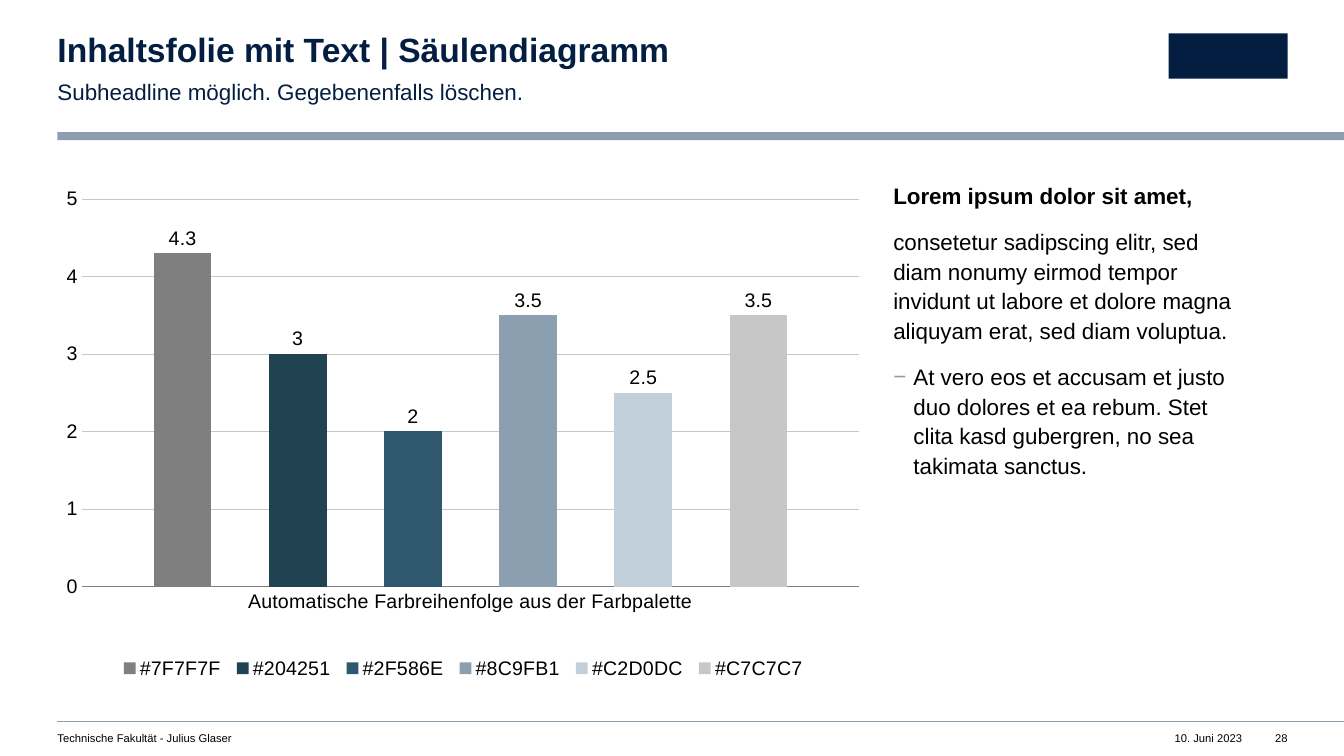
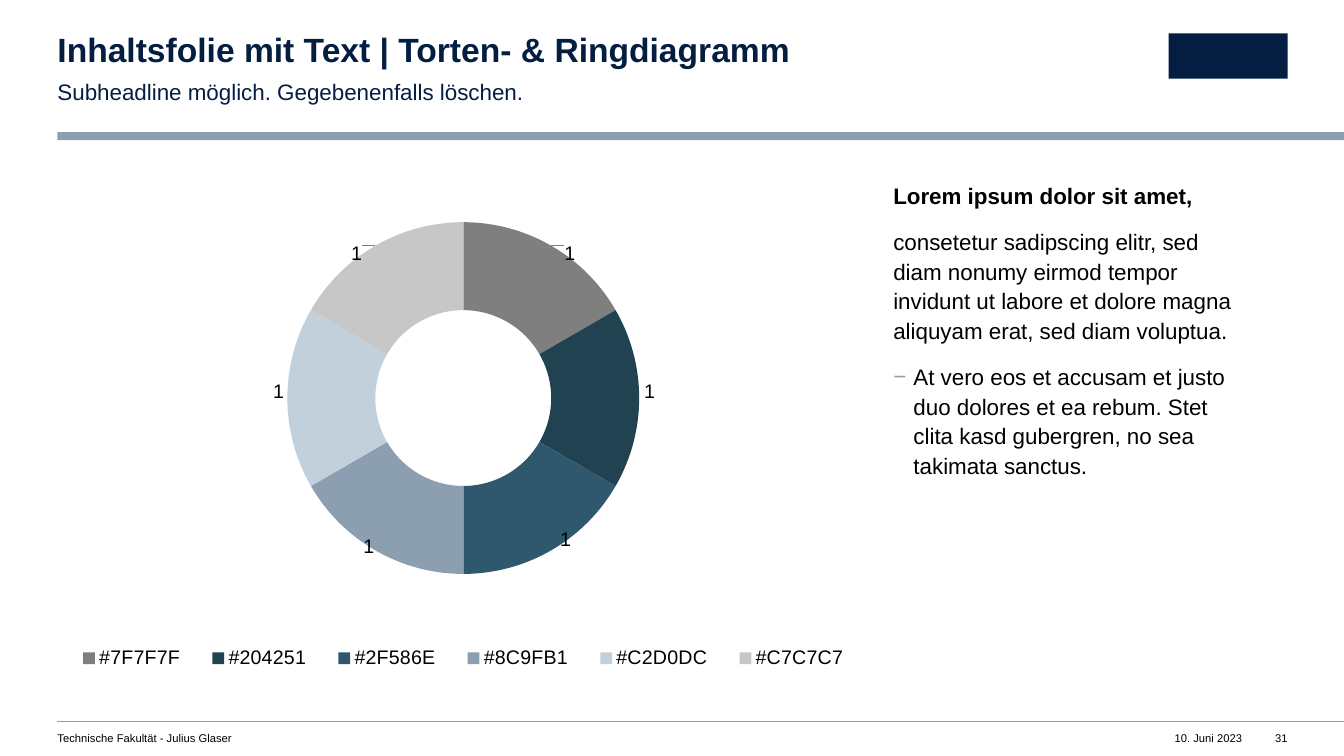
import pptx
import pptx.chart.data
import pptx.dml.color
import pptx.enum.chart
import pptx.enum.shapes
import pptx.enum.text
import pptx.oxml
import pptx.oxml.ns
import pptx.util
from pptx.util import Inches

COLORS = {
    "navy": "041E42",
    "steel": "8C9FB1",
    "text": "000000",
    "axis": "7F7F7F",
    "grid": "C7C7C7",
}
PALETTE = ["7F7F7F", "204251", "2F586E", "8C9FB1", "C2D0DC", "C7C7C7"]
LABELS = [f"#{color}" for color in PALETTE]
FONT = "Arial"
LEFT, RIGHT, SLIDE_WIDTH = 0.57, 12.77, 13.33
CONTENT_TOP, CONTENT_HEIGHT = 1.78, 5


def add_text(page, at, *lines, size=16, color="text", bold=False, align="LEFT",
             spacing=1.0, after=0, inset_right=0):
    """Add a text box; each line is a string or a dict with text, bold and bullet."""
    box = page.shapes.add_textbox(*map(Inches, at))
    frame = box.text_frame
    frame.word_wrap = True
    frame.margin_left = frame.margin_top = frame.margin_bottom = 0
    frame.margin_right = Inches(inset_right)
    for index, line in enumerate(lines):
        if isinstance(line, str):
            line = {"text": line}
        para = frame.add_paragraph() if index else frame.paragraphs[0]
        para.alignment = getattr(pptx.enum.text.PP_ALIGN, align)
        para.line_spacing = spacing
        para.space_after = pptx.util.Pt(after)
        span = para.add_run()
        span.text = line["text"]
        span.font.name = FONT
        span.font.size = pptx.util.Pt(size)
        span.font.bold = line.get("bold", bold)
        span.font.color.rgb = pptx.dml.color.RGBColor.from_string(COLORS[color])
        if "bullet" in line:
            properties = para._p.get_or_add_pPr()
            properties.set("marL", str(Inches(0.2)))
            properties.set("indent", str(Inches(-0.2)))
            namespace = pptx.oxml.ns.nsdecls("a")
            for markup in (
                f'<a:buClr {namespace}><a:srgbClr val="{COLORS["steel"]}"/></a:buClr>',
                f'<a:buFont {namespace} typeface="{FONT}"/>',
                f'<a:buChar {namespace} char="{line["bullet"]}"/>',
            ):
                properties.append(pptx.oxml.parse_xml(markup))


def set_layout(parent, index, **values):
    """Give a chart part a manual layout, in fractions of the chart, as child number index."""
    for old in parent.xpath("./c:layout"):
        parent.remove(old)
    items = "".join(f'<c:{name} val="{value}"/>' for name, value in values.items())
    parent.insert(index, pptx.oxml.parse_xml(
        f'<c:layout {pptx.oxml.ns.nsdecls("c")}><c:manualLayout>{items}'
        "</c:manualLayout></c:layout>"))


deck = pptx.Presentation()
deck.slide_width, deck.slide_height = Inches(SLIDE_WIDTH), Inches(7.5)

column_data = pptx.chart.data.CategoryChartData()
column_data.categories = ["Automatische Farbreihenfolge aus der Farbpalette"]
for label, value in zip(LABELS, [4.3, 3, 2, 3.5, 2.5, 3.5]):
    column_data.add_series(label, [value])

ring_data = pptx.chart.data.CategoryChartData()
ring_data.categories = LABELS
ring_data.add_series("Series 1", [1] * len(LABELS))

chart_types = pptx.enum.chart.XL_CHART_TYPE
slides = [
    ("Säulendiagramm", "28", chart_types.COLUMN_CLUSTERED, column_data,
     {"x": 0.03, "y": 0.039, "w": 0.958, "h": 0.769},
     {"x": 0.07, "y": 0.94, "w": 0.86, "h": 0.06}),
    ("Torten- & Ringdiagramm", "31", chart_types.DOUGHNUT, ring_data,
     {"x": 0.208, "y": 0.085, "w": 0.584, "h": 0.698},
     {"x": 0, "y": 0.91, "w": 1, "h": 0.08}),
]
charts = []

# Frame, text and chart of each slide
for topic, number, chart_type, data, plot_area, legend_area in slides:
    page = deck.slides.add_slide(deck.slide_layouts[6])
    for color, at in [
        ("steel", (LEFT, 1.31, SLIDE_WIDTH - LEFT, 0.08)),
        ("navy", (11.59, 0.33, 1.18, 0.45)),
    ]:
        bar = page.shapes.add_shape(
            pptx.enum.shapes.MSO_SHAPE.RECTANGLE, *map(Inches, at))
        bar.shadow.inherit = False
        bar.fill.solid()
        bar.fill.fore_color.rgb = pptx.dml.color.RGBColor.from_string(COLORS[color])
        bar.line.fill.background()

    footer_rule = page.shapes.add_connector(
        pptx.enum.shapes.MSO_CONNECTOR.STRAIGHT,
        *map(Inches, (LEFT, 7.16, SLIDE_WIDTH, 7.16)))
    footer_rule.line.width = pptx.util.Pt(0.75)
    footer_rule.line.color.rgb = pptx.dml.color.RGBColor.from_string(COLORS["steel"])
    footer_rule._element.spPr.append(pptx.oxml.parse_xml(
        f'<a:effectLst {pptx.oxml.ns.nsdecls("a")}/>'))

    add_text(page, (LEFT, 0.33, 10, 0.36), f"Inhaltsfolie mit Text | {topic}",
             size=24, color="navy", bold=True, spacing=0.9)
    add_text(page, (LEFT, 0.75, 7.49, 0.27),
             "Subheadline möglich. Gegebenenfalls löschen.",
             color="navy", spacing=1.1, after=12, inset_right=0.39)
    add_text(page, (8.86, CONTENT_TOP, RIGHT - 8.86, CONTENT_HEIGHT),
             {"text": "Lorem ipsum dolor sit amet,", "bold": True},
             "consetetur sadipscing elitr, sed diam nonumy eirmod tempor invidunt ut "
             "labore et dolore magna aliquyam erat, sed diam voluptua.",
             {"text": "At vero eos et accusam et justo duo dolores et ea rebum. Stet "
                      "clita kasd gubergren, no sea takimata sanctus.", "bullet": "−"},
             spacing=1.1, after=12, inset_right=0.39)
    add_text(page, (LEFT, 7.26, 5.98, 0.13), "Technische Fakultät - Julius Glaser", size=8)
    add_text(page, (11.39, 7.26, 0.93, 0.13), "10. Juni 2023", size=8, align="RIGHT")
    add_text(page, (12.56, 7.26, 0.21, 0.13), number, size=8, align="RIGHT")

    chart = page.shapes.add_chart(
        chart_type, Inches(LEFT), Inches(CONTENT_TOP), Inches(8.05),
        Inches(CONTENT_HEIGHT), data).chart
    chart.has_title = False
    chart.font.name = FONT
    chart.font.size = pptx.util.Pt(14)
    chart.font.color.rgb = pptx.dml.color.RGBColor.from_string(COLORS["text"])
    chart.has_legend = True
    chart.legend.position = pptx.enum.chart.XL_LEGEND_POSITION.BOTTOM
    chart.legend.include_in_layout = False
    set_layout(chart.element.xpath(".//c:plotArea")[0], 0,
               layoutTarget="inner", xMode="edge", yMode="edge", **plot_area)
    set_layout(chart.element.xpath(".//c:legend")[0], 1,
               xMode="edge", yMode="edge", **legend_area)
    charts.append(chart)

column_chart, ring_chart = charts

# Column chart
plot = column_chart.plots[0]
plot.vary_by_categories = False
plot.gap_width = 250
plot.overlap = -100
for series, color in zip(plot.series, PALETTE):
    series.format.fill.solid()
    series.format.fill.fore_color.rgb = pptx.dml.color.RGBColor.from_string(color)
    series.data_labels.show_value = True
    series.data_labels.position = pptx.enum.chart.XL_LABEL_POSITION.OUTSIDE_END

value_axis, category_axis = column_chart.value_axis, column_chart.category_axis
for axis in (value_axis, category_axis):
    axis.major_tick_mark = axis.minor_tick_mark = pptx.enum.chart.XL_TICK_MARK.NONE
value_axis.minimum_scale, value_axis.maximum_scale = 0, 5
value_axis.major_unit = 1
value_axis.has_major_gridlines = True
value_axis.format.line.fill.background()
for line, color in [(value_axis.major_gridlines.format.line, "grid"),
                    (category_axis.format.line, "axis")]:
    line.width = pptx.util.Pt(0.5)
    line.color.rgb = pptx.dml.color.RGBColor.from_string(COLORS[color])

# Ring chart, with its labels moved out of the ring
ring_chart.element.xpath(".//c:holeSize")[0].set("val", "80")
label_shifts = [(0.05, -0.06), (0.067, -0.012), (0.045, 0.055),
                (-0.035, 0.069), (-0.065, -0.012), (-0.05, -0.06)]
ring = ring_chart.plots[0].series[0]
for index, color in enumerate(PALETTE):
    point = ring.points[index]
    point.format.fill.solid()
    point.format.fill.fore_color.rgb = pptx.dml.color.RGBColor.from_string(color)
    point.data_label.font.size = pptx.util.Pt(14)
for label, (x, y) in zip(ring_chart.element.xpath(".//c:dLbl"), label_shifts):
    set_layout(label, 1, x=x, y=y)
for leader_switch in ring_chart.element.xpath(".//c:ser/c:dLbls/c:showLeaderLines"):
    leader_switch.addnext(pptx.oxml.parse_xml(
        f'<c:leaderLines {pptx.oxml.ns.nsdecls("c", "a")}><c:spPr><a:ln w="6350">'
        f'<a:solidFill><a:srgbClr val="{COLORS["axis"]}"/></a:solidFill></a:ln>'
        "</c:spPr></c:leaderLines>"))

deck.save("out.pptx")
